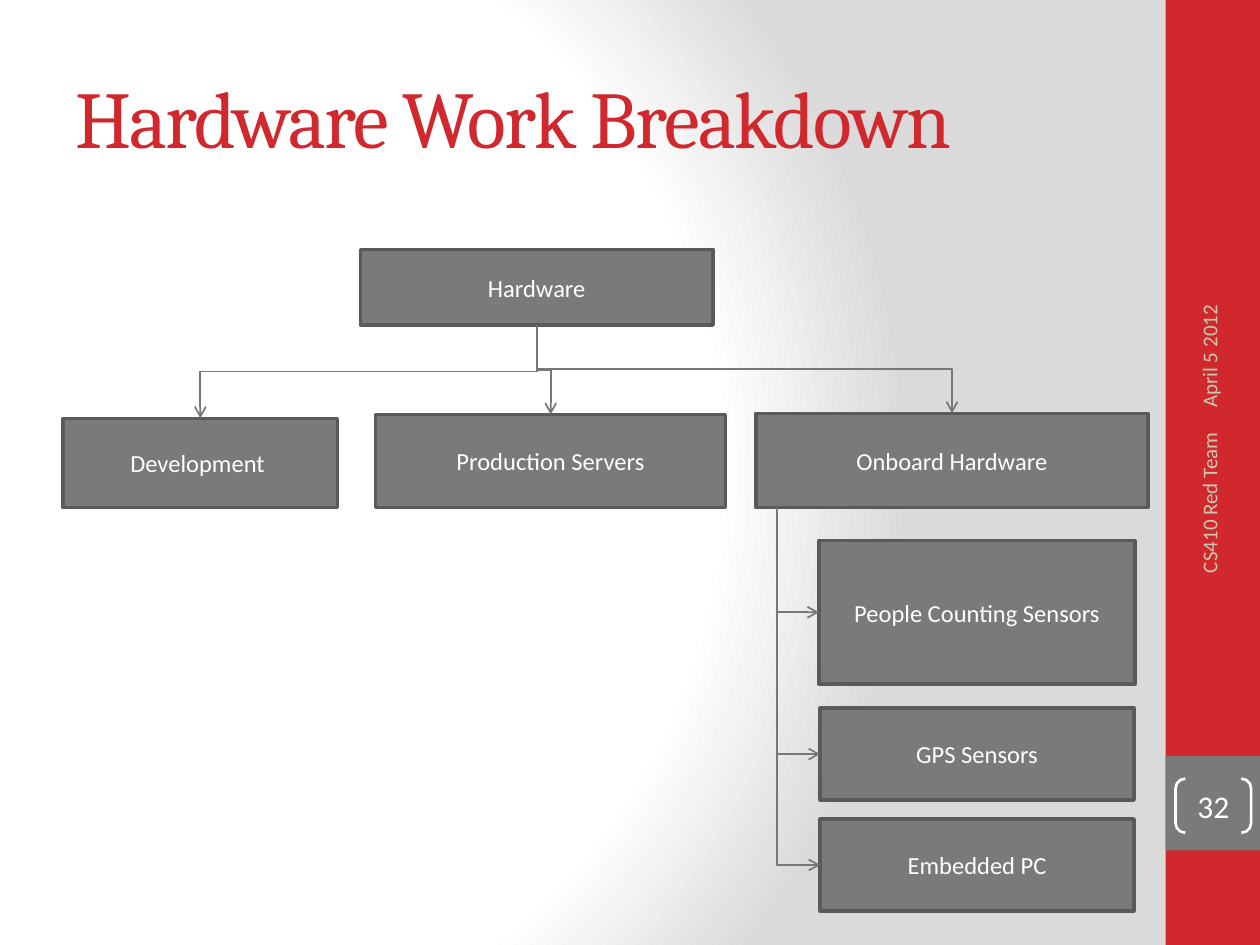
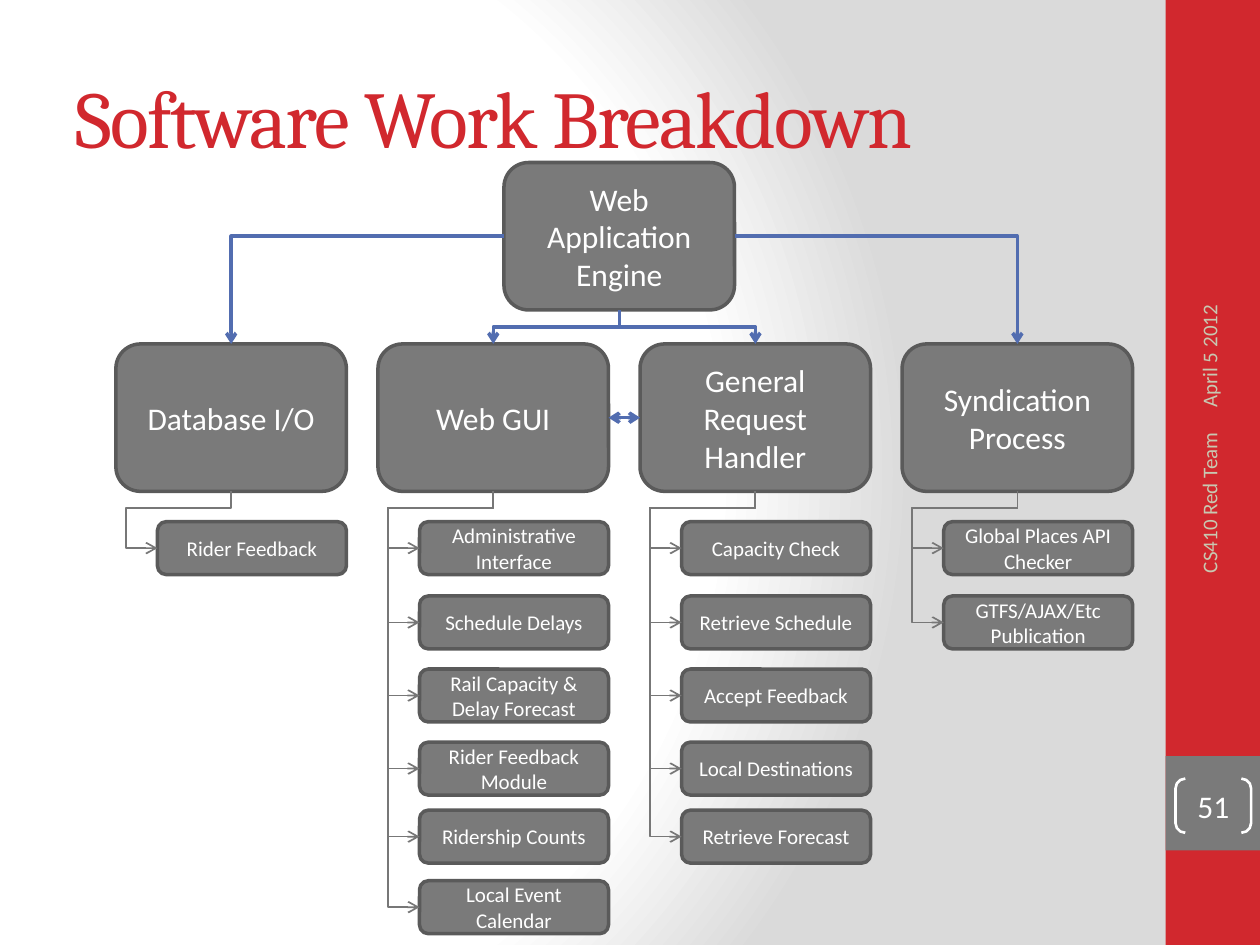
from lxml import etree
from pptx import Presentation
from pptx import util as u
from pptx.dml.color import RGBColor
from pptx.enum import shapes, text
from pptx.oxml import parse_xml
from pptx.oxml.ns import nsdecls, qn

RED = RGBColor(0xD1, 0x28, 0x2E)
GRAY = RGBColor(0x7A, 0x7A, 0x7A)
EDGE = RGBColor(0x5A, 0x5A, 0x5A)
LINK = RGBColor(0x77, 0x77, 0x77)
BLUE = RGBColor(0x52, 0x6D, 0xB0)
SAND = RGBColor(0xC8, 0xC8, 0xB1)
WHITE = RGBColor(0xFF, 0xFF, 0xFF)

MSO = shapes.MSO_SHAPE
LEFT, CENTER, RIGHT = text.PP_ALIGN.LEFT, text.PP_ALIGN.CENTER, text.PP_ALIGN.RIGHT

# Connection sites of a box, as fractions of its width and height
TOP_SITE, LEFT_SITE, BOTTOM_SITE, RIGHT_SITE = range(4)
SITES = [(0.5, 0), (0, 0.5), (0.5, 1), (1, 0.5)]

BACKGROUND = f"""<a:gradFill {nsdecls('a')} rotWithShape="1"><a:gsLst>
<a:gs pos="0"><a:srgbClr val="{WHITE}"/></a:gs>
<a:gs pos="75000"><a:srgbClr val="{WHITE}"/></a:gs>
<a:gs pos="100000"><a:srgbClr val="DADADA"/></a:gs></a:gsLst>
<a:path path="circle"><a:fillToRect l="20000" t="50000" r="100000" b="50000"/></a:path>
</a:gradFill>"""

# Slide 1: box name -> text and place
HARDWARE_PARTS = [
    ("Development ", (0.5, 3.32, 2.18, 0.71)),
    ("Production Servers", (2.98, 3.29, 2.78, 0.74)),
    ("Onboard Hardware", (6, 3.28, 3.11, 0.75)),
]
ONBOARD_PARTS = [
    ("People Counting Sensors", (6.5, 4.29, 2.51, 1.14)),
    ("GPS Sensors", (6.51, 5.62, 2.49, 0.73)),
    ("Embedded PC", (6.51, 6.5, 2.49, 0.73)),
]
ONBOARD_TRUNK_X = 6.17

# Slide 2: module -> its tasks, one column each
MODULES = {
    "Database I/O": ["Rider Feedback"],
    "Web GUI": ["Administrative Interface", "Schedule Delays",
                "Rail Capacity & Delay Forecast", "Rider Feedback Module",
                "Ridership Counts", "Local Event Calendar"],
    "General Request Handler": ["Capacity Check", "Retrieve Schedule",
                                "Accept Feedback", "Local Destinations",
                                "Retrieve Forecast"],
    "Syndication Process": ["Global Places API Checker",
                            "GTFS/AJAX/Etc Publication"],
}
TASK_TOPS = [4.14, 4.73, 5.31, 5.89, 6.43, 6.99]
COLUMN_LEFT, COLUMN_PITCH = 0.92, 2.08
MODULE_SIZE = (1.83, 1.17)
TASK_INDENT, TASK_SIZE = 0.33, (1.5, 0.42)
TRUNK_DROP, TRUNK_GAP = 0.13, 0.25


def inches(place):
    return [u.Inches(v) for v in place]


def set_text(tf, content, size, color, align=CENTER, font="Calibri"):
    tf.word_wrap = True
    tf.vertical_anchor = text.MSO_ANCHOR.MIDDLE
    tf.text = content
    for p in tf.paragraphs:
        p.alignment = align
        for r in p.runs:
            for name, value in {"name": font, "size": u.Pt(size)}.items():
                setattr(r.font, name, value)
            r.font.color.rgb = color


def add_shape(s, kind, place, fill=None, line=None, width=2):
    sp = s.shapes.add_shape(kind, *inches(place))
    sp.shadow.inherit = False
    if fill is None:
        sp.fill.background()
    else:
        sp.fill.solid()
        sp.fill.fore_color.rgb = fill
    if line is None:
        sp.line.fill.background()
    else:
        sp.line.color.rgb = line
        sp.line.width = u.Pt(width)
    return sp


def add_box(s, content, place, size, kind=MSO.RECTANGLE):
    sp = add_shape(s, kind, place, GRAY, EDGE)
    set_text(sp.text_frame, content, size, WHITE)
    return sp


def site_point(sp, site):
    fx, fy = SITES[site]
    return sp.left + int(sp.width * fx), sp.top + int(sp.height * fy)


def add_link(s, begin, end, color=LINK, width=1, preset="bentConnector3",
             start_x=None, adjust=(), ends=("tailEnd",)):
    """Join two (box, site) pairs; start_x moves the start along its edge."""
    x1, y1 = site_point(*begin)
    x2, y2 = site_point(*end)
    kind = shapes.MSO_CONNECTOR.STRAIGHT if preset == "line" else shapes.MSO_CONNECTOR.ELBOW
    c = s.shapes.add_connector(kind, x1, y1, x2, y2)
    if start_x is None:
        c.begin_connect(*begin)
    else:
        x1 = u.Inches(start_x)
    c.end_connect(*end)

    # A link that leaves downward is a sideways one turned by a quarter
    w, h = abs(x2 - x1), abs(y2 - y1)
    turned = begin[1] == BOTTOM_SITE
    flipped = x2 > x1 if turned else x2 < x1
    xfrm = c._element.spPr.find(qn("a:xfrm"))
    for name in ("rot", "flipH", "flipV"):
        xfrm.attrib.pop(name, None)
    if flipped:
        xfrm.set("flipH", "1")
    if turned:
        w, h = h, w
        xfrm.set("rot", str((270 if flipped else 90) * 60000))
    c.left, c.top = (x1 + x2 - w) // 2, (y1 + y2 - h) // 2
    c.width, c.height = w, h

    geom = c._element.spPr.find(qn("a:prstGeom"))
    geom.set("prst", preset)
    for i, value in enumerate(adjust, 1):
        etree.SubElement(geom.find(qn("a:avLst")), qn("a:gd"),
                         name=f"adj{i}", fmla=f"val {round(value * 100000)}")
    c.line.color.rgb = color
    c.line.width = u.Pt(width)
    for name in ends:
        etree.SubElement(c.line._get_or_add_ln(), qn(f"a:{name}"), type="arrow")
    etree.SubElement(c._element.spPr, qn("a:effectLst"))
    return c


def style_master(prs, s):
    """Give the master its background and its side band."""
    master = prs.slide_master
    bg = master._element.cSld.get_or_add_bgPr()
    bg.replace(bg[0], parse_xml(BACKGROUND))
    for i, (place, fill) in enumerate([((9.25, 0, 0.75, 7.5), RED),
                                       ((9.25, 6, 0.75, 0.75), GRAY)]):
        band = add_shape(s, MSO.RECTANGLE, place, fill)
        master.shapes._spTree.insert(2 + i, band._element)


def add_side_text(s, content, place, align):
    sp = s.shapes.add_textbox(*inches(place))
    sp.rotation = 270
    set_text(sp.text_frame, content, 12, SAND, align)


def add_slide(prs, title, number):
    s = prs.slides.add_slide(prs.slide_layouts[5])
    sp = s.shapes.title
    sp.left, sp.top, sp.width, sp.height = inches((0.5, 0.3, 8.33, 1.25))
    set_text(sp.text_frame, title, 46, RED, LEFT, "Cambria")
    sp.text_frame.auto_size = text.MSO_AUTO_SIZE.NONE
    sp.text_frame.paragraphs[0].runs[0].font._element.set("spc", "-100")

    # Date, team and slide number on the band
    add_side_text(s, "April 5 2012", (8.26, 1.8, 2.67, 0.4), LEFT)
    add_side_text(s, "CS410 Red Team", (8.3, 4.43, 2.59, 0.4), RIGHT)
    sp = add_shape(s, MSO.DOUBLE_BRACKET, (9.33, 6.18, 0.6, 0.43), None, WHITE, 1.5)
    sp.adjustments[0] = 0.18
    set_text(sp.text_frame, str(number), 18, WHITE)
    for side in ("left", "top", "right", "bottom"):
        setattr(sp.text_frame, f"margin_{side}", 0)
    return s


def draw_hardware(s):
    root = add_box(s, "Hardware", (2.86, 1.98, 2.8, 0.6), 14)
    for name, place in HARDWARE_PARTS:
        part = add_box(s, name, place, 14)
        add_link(s, (root, BOTTOM_SITE), (part, TOP_SITE), adjust=[0.5])

    # The last part, the onboard hardware, has parts of its own
    for name, place in ONBOARD_PARTS:
        sensor = add_box(s, name, place, 14)
        add_link(s, (part, BOTTOM_SITE), (sensor, LEFT_SITE),
                 preset="bentConnector2", start_x=ONBOARD_TRUNK_X)


def draw_tasks(s, module, tasks, left):
    for name, top in zip(tasks, TASK_TOPS):
        task = add_box(s, name, (left, top, *TASK_SIZE), 12, MSO.ROUNDED_RECTANGLE)
        x1, y1 = site_point(module, BOTTOM_SITE)
        x2, y2 = site_point(task, LEFT_SITE)
        adjust = [u.Inches(TRUNK_DROP) / (y2 - y1),
                  1 + u.Inches(TRUNK_GAP) / (x1 - x2)]
        add_link(s, (module, BOTTOM_SITE), (task, LEFT_SITE),
                 preset="bentConnector4", adjust=adjust)


def draw_software(s):
    engine = add_box(s, "Web Application\nEngine", (4, 1.29, *MODULE_SIZE), 18,
                     MSO.ROUNDED_RECTANGLE)
    modules = []
    for i, (name, tasks) in enumerate(MODULES.items()):
        left = COLUMN_LEFT + i * COLUMN_PITCH
        module = add_box(s, name, (left, 2.73, *MODULE_SIZE), 18, MSO.ROUNDED_RECTANGLE)
        draw_tasks(s, module, tasks, left + TASK_INDENT)
        modules.append(module)

    # Outer modules hang from the engine's sides, inner ones from its foot
    blue = {"color": BLUE, "width": 2}
    exits = [LEFT_SITE, BOTTOM_SITE, BOTTOM_SITE, RIGHT_SITE]
    for module, site in zip(modules, exits):
        preset = "bentConnector3" if site == BOTTOM_SITE else "bentConnector2"
        add_link(s, (engine, site), (module, TOP_SITE), preset=preset, **blue)
    add_link(s, (modules[1], RIGHT_SITE), (modules[2], LEFT_SITE), preset="line",
             ends=("headEnd", "tailEnd"), **blue)


def main():
    prs = Presentation()
    prs.slide_width, prs.slide_height = inches((10, 7.5))
    hardware = add_slide(prs, "Hardware Work Breakdown", 32)
    style_master(prs, hardware)
    draw_hardware(hardware)
    draw_software(add_slide(prs, "Software Work Breakdown", 51))
    prs.save("out.pptx")


if __name__ == "__main__":
    main()
